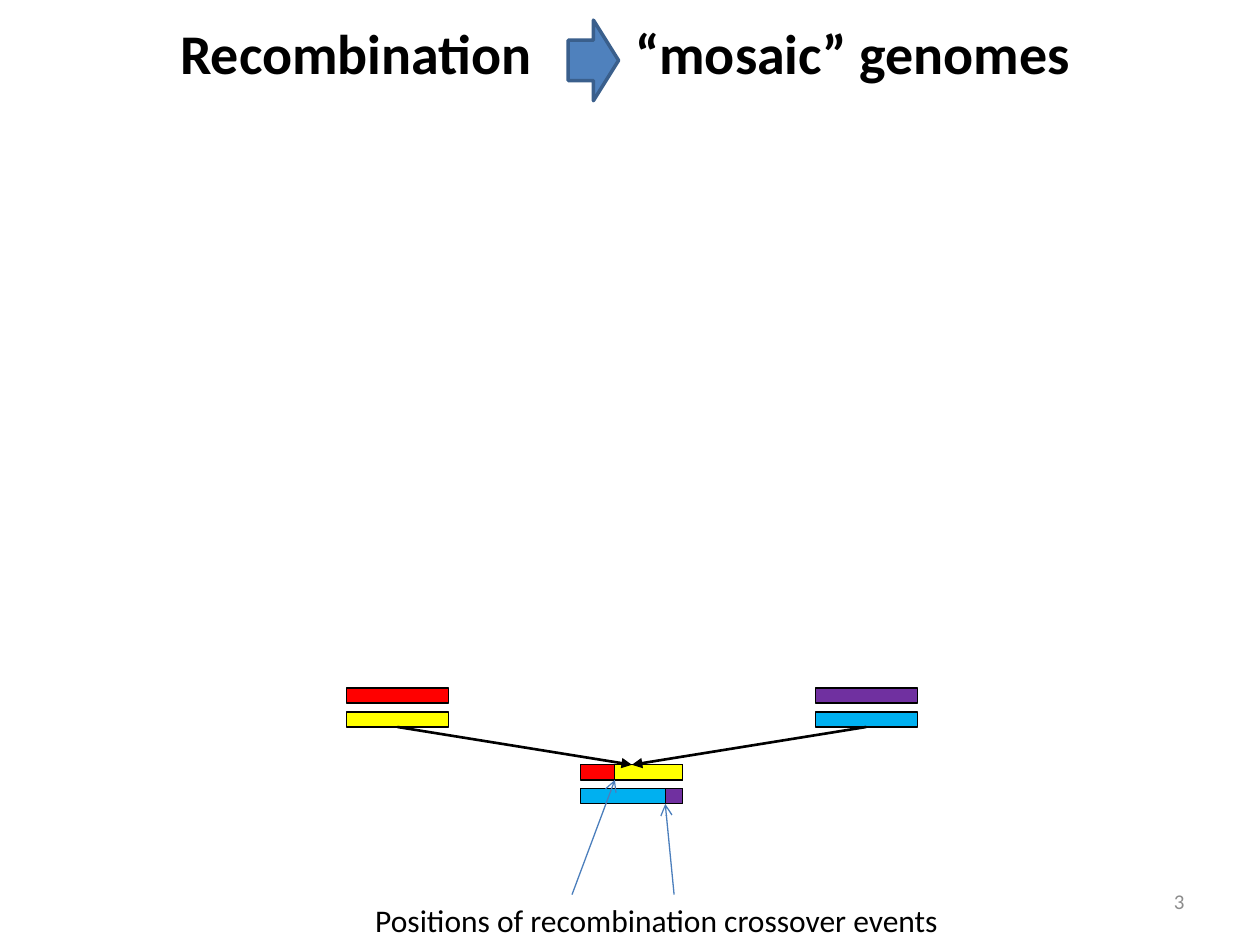
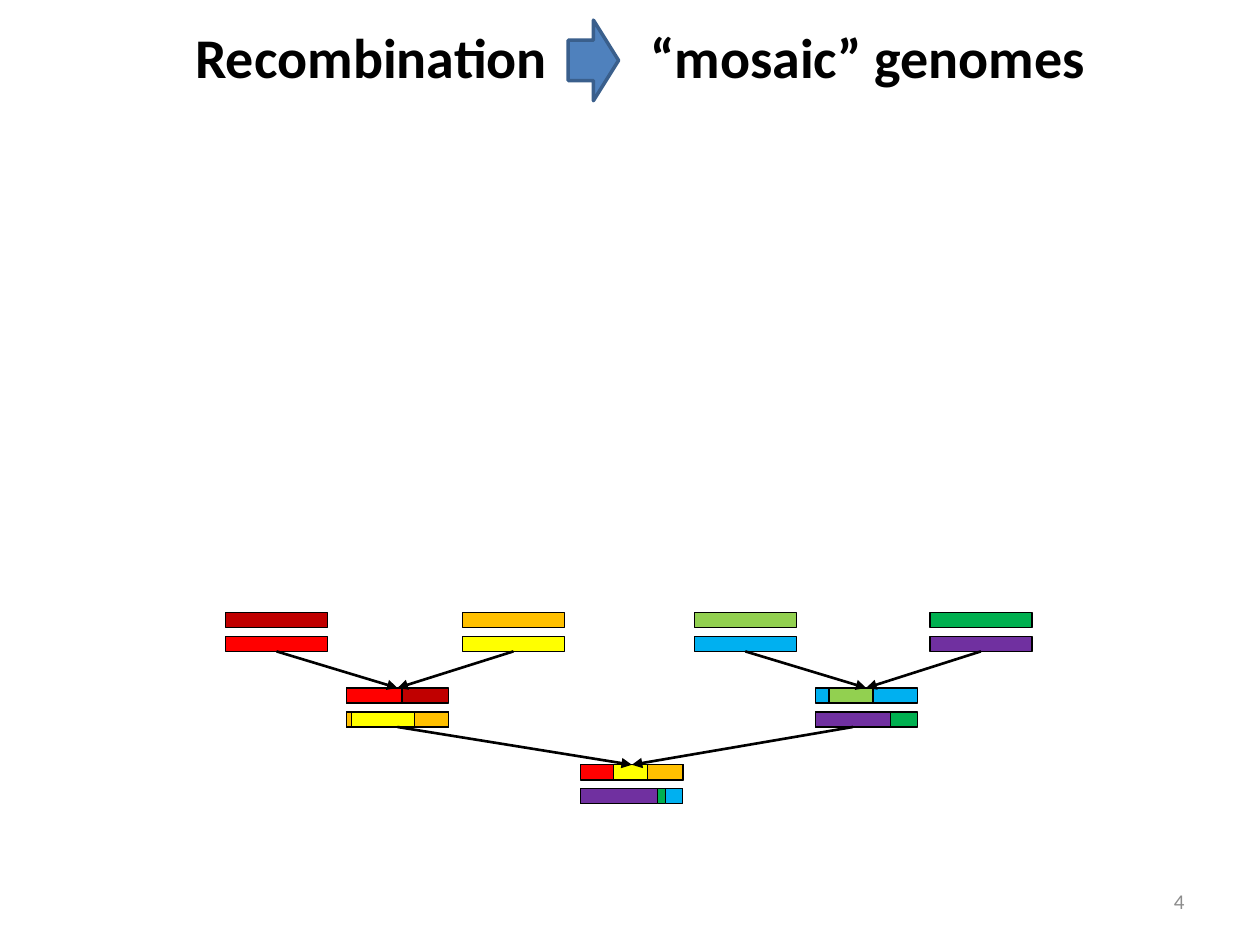
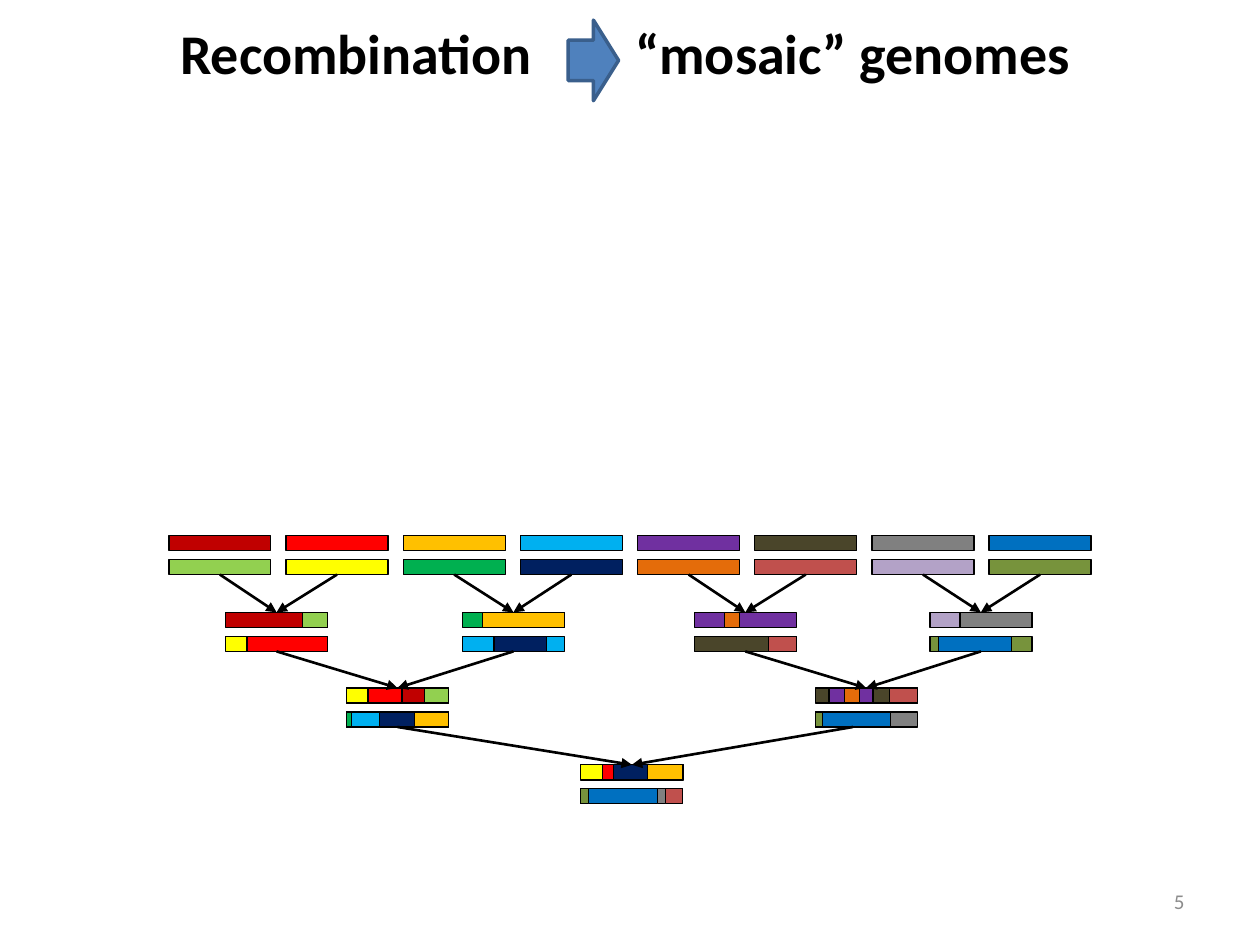
from dataclasses import dataclass

from lxml import etree
from pptx import Presentation
from pptx.dml.color import RGBColor
from pptx.enum.shapes import MSO_CONNECTOR, MSO_SHAPE
from pptx.enum.text import MSO_ANCHOR, MSO_AUTO_SIZE, PP_ALIGN
from pptx.oxml.ns import qn
from pptx.util import Inches, Pt


@dataclass(frozen=True)
class Theme:
    font: str = "Calibri"
    title_size: int = 32
    caption_size: int = 18
    number_size: int = 12
    text: str = "000000"
    number: str = "8C8C8C"
    accent: str = "4F81BD"
    accent_edge: str = "3A5F8C"
    crossover: str = "4B7EBC"
    strand_edge: str = "000000"


THEME = Theme()

MAROON, RED, ORANGE, YELLOW = "C00000", "FF0000", "FFC000", "FFFF00"
LIME, GREEN, OLIVE = "92D050", "00B050", "77933C"
SKY, BLUE, NAVY = "00B0F0", "0070C0", "002060"
PURPLE, LAVENDER = "7030A0", "B3A2C7"
EMBER, BRICK, UMBER, GRAY = "E46C0A", "C0504D", "4A452A", "808080"

STRAND_WIDTH, STRAND_HEIGHT, STRAND_PITCH = 0.81, 0.12, 0.19
GENERATION_TOPS = (6.07, 5.46, 4.86, 4.25)
GENERATION_LEFTS = (
    (4.61,),
    (2.75, 6.47),
    (1.79, 3.67, 5.51, 7.38),
    tuple(1.34 + 0.93 * i for i in range(8)),
)

# Each person is (upper strand, lower strand); a strand is a base colour
# followed by crossover segments (colour, start[, end]).
TWO_GENERATIONS = [
    [([RED, (YELLOW, 0.27)], [SKY, (PURPLE, 0.67)])],
    [([RED], [YELLOW]), ([PURPLE], [SKY])],
]
THREE_GENERATIONS = [
    [([RED, (YELLOW, 0.26), (ORANGE, 0.53)],
      [GREEN, (PURPLE, 0, 0.61), (SKY, 0.67)])],
    [([MAROON, (RED, 0, 0.44)], [YELLOW, (ORANGE, 0, 0.04), (ORANGE, 0.54)]),
     ([SKY, (LIME, 0.11, 0.46)], [GREEN, (PURPLE, 0, 0.6)])],
    [([MAROON], [RED]), ([ORANGE], [YELLOW]),
     ([LIME], [SKY]), ([GREEN], [PURPLE])],
]
FOUR_GENERATIONS = [
    [([YELLOW, (RED, 0.17, 0.44), (NAVY, 0.26), (ORANGE, 0.53)],
      [GRAY, (OLIVE, 0, 0.61), (BLUE, 0.06, 0.61), (BRICK, 0.67)])],
    [([MAROON, (YELLOW, 0, 0.44), (RED, 0.17, 0.44), (LIME, 0.62)],
      [SKY, (GREEN, 0, 0.04), (NAVY, 0.26, 0.68), (ORANGE, 0.54)]),
     ([UMBER, (PURPLE, 0.11, 0.46), (EMBER, 0.23, 0.35), (BRICK, 0.59)],
      [GRAY, (OLIVE, 0, 0.6), (BLUE, 0.06, 0.6)])],
    [([MAROON, (LIME, 0.61)], [YELLOW, (RED, 0.17)]),
     ([GREEN, (ORANGE, 0.16)], [SKY, (NAVY, 0.25, 0.67)]),
     ([PURPLE, (EMBER, 0.24, 0.36)], [UMBER, (BRICK, 0.59)]),
     ([LAVENDER, (GRAY, 0.24)], [OLIVE, (BLUE, 0.07, 0.65)])],
    [([MAROON], [LIME]), ([RED], [YELLOW]), ([ORANGE], [GREEN]),
     ([SKY], [NAVY]), ([PURPLE], [EMBER]), ([UMBER], [BRICK]),
     ([GRAY], [LAVENDER]), ([BLUE], [OLIVE])],
]


def inches(*lengths):
    return [Inches(length) for length in lengths]


def add_run(paragraph, text, size, color, bold=False):
    run = paragraph.add_run()
    run.text = text
    run.font.name = THEME.font
    run.font.size = Pt(size)
    run.font.bold = bold
    run.font.color.rgb = RGBColor.from_string(color)


def add_label(slide, box, text, size, color, align, anchor):
    frame = slide.shapes.add_textbox(*inches(*box)).text_frame
    frame.word_wrap = True
    frame.vertical_anchor = anchor
    frame.paragraphs[0].alignment = align
    add_run(frame.paragraphs[0], text, size, color)


def add_block(slide, kind, box, fill, edge, weight):
    block = slide.shapes.add_shape(kind, *inches(*box))
    block.shadow.inherit = False
    block.fill.solid()
    block.fill.fore_color.rgb = RGBColor.from_string(fill)
    block.line.color.rgb = RGBColor.from_string(edge)
    block.line.width = Pt(weight)
    return block


def add_arrow(slide, start, end, color, weight, head):
    arrow = slide.shapes.add_connector(
        MSO_CONNECTOR.STRAIGHT, *inches(*start, *end))
    arrow.line.color.rgb = RGBColor.from_string(color)
    arrow.line.width = Pt(weight)
    etree.SubElement(arrow.line._get_or_add_ln(), qn("a:tailEnd"), type=head)
    etree.SubElement(arrow._element.spPr, qn("a:effectLst"))
    return arrow


def add_heading(slide, left, inset, spacing):
    title = slide.shapes.title
    title.left, title.top, title.width, title.height = inches(
        left, -0.18, 8.16, 1.25)
    frame = title.text_frame
    frame.auto_size = MSO_AUTO_SIZE.NONE
    frame.vertical_anchor = MSO_ANCHOR.MIDDLE
    frame.margin_left = Inches(inset)
    heading = frame.paragraphs[0]
    tabs = etree.SubElement(heading._p.get_or_add_pPr(), qn("a:tabLst"))
    etree.SubElement(tabs, qn("a:tab"), pos=str(Inches(3.61)), algn="l")
    heading.alignment = PP_ALIGN.LEFT
    heading.line_spacing = spacing
    add_run(heading, "Recombination\t“mosaic” genomes",
            THEME.title_size, THEME.text, bold=True)
    add_block(slide, MSO_SHAPE.RIGHT_ARROW, (4.51, 0.16, 0.4, 0.64),
              THEME.accent, THEME.accent_edge, 2)


def add_strand(slide, left, top, strand):
    base, *segments = strand
    blocks = []
    for color, start, *end in [(base, 0), *segments]:
        width = (end[0] if end else STRAND_WIDTH) - start
        blocks.append(add_block(
            slide, MSO_SHAPE.RECTANGLE,
            (left + start, top, width, STRAND_HEIGHT),
            color, THEME.strand_edge, 0.75))
    return blocks


def add_pedigree(slide, generations, right_parent_segment):
    children = []
    for level, people in enumerate(generations):
        top = GENERATION_TOPS[level]
        parents = []
        for i, (upper, lower) in enumerate(people):
            left = GENERATION_LEFTS[level][i]
            parents.append((add_strand(slide, left, top, upper),
                            add_strand(slide, left, top + STRAND_PITCH, lower)))
        if children:
            for i, (_, lower) in enumerate(parents):
                segment = right_parent_segment if (level, i) == (1, 1) else 0
                descent = add_arrow(slide, (0, 0), (1, 1),
                                    THEME.strand_edge, 1.5, "triangle")
                descent.begin_connect(lower[segment], 2)
                descent.end_connect(children[i // 2][0][0], 0)
        children = parents


def add_crossover_note(slide, left, top):
    for start, tip in (((2.47, 0), (2.4, -0.72)), ((1.66, 0), (2, -0.91))):
        add_arrow(slide, (left + start[0], top + start[1]),
                  (left + tip[0], top + tip[1]),
                  THEME.crossover, 0.75, "arrow")
    add_label(slide, (left, top, 5.04, 0.4),
              "Positions of recombination crossover events",
              THEME.caption_size, THEME.text, PP_ALIGN.LEFT, MSO_ANCHOR.TOP)


def add_genome_slide(deck, number, generations, heading, right_parent_segment):
    slide = deck.slides.add_slide(deck.slide_layouts[5])
    add_heading(slide, *heading)
    add_pedigree(slide, generations, right_parent_segment)
    add_label(slide, (7.17, 6.95, 2.33, 0.4), str(number), THEME.number_size,
              THEME.number, PP_ALIGN.RIGHT, MSO_ANCHOR.MIDDLE)
    return slide


def main():
    deck = Presentation()
    deck.slide_width, deck.slide_height = inches(10, 7.5)
    raised_heading = (1.33, 0.1, 0.9)
    centred_heading = (1, 0.55, 1.0)
    crossover_slide = add_genome_slide(
        deck, 3, TWO_GENERATIONS, raised_heading, 0)
    add_crossover_note(crossover_slide, 2.88, 7.1)
    add_genome_slide(deck, 4, THREE_GENERATIONS, centred_heading, 1)
    add_genome_slide(deck, 5, FOUR_GENERATIONS, raised_heading, 1)
    deck.save("out.pptx")


if __name__ == "__main__":
    main()
